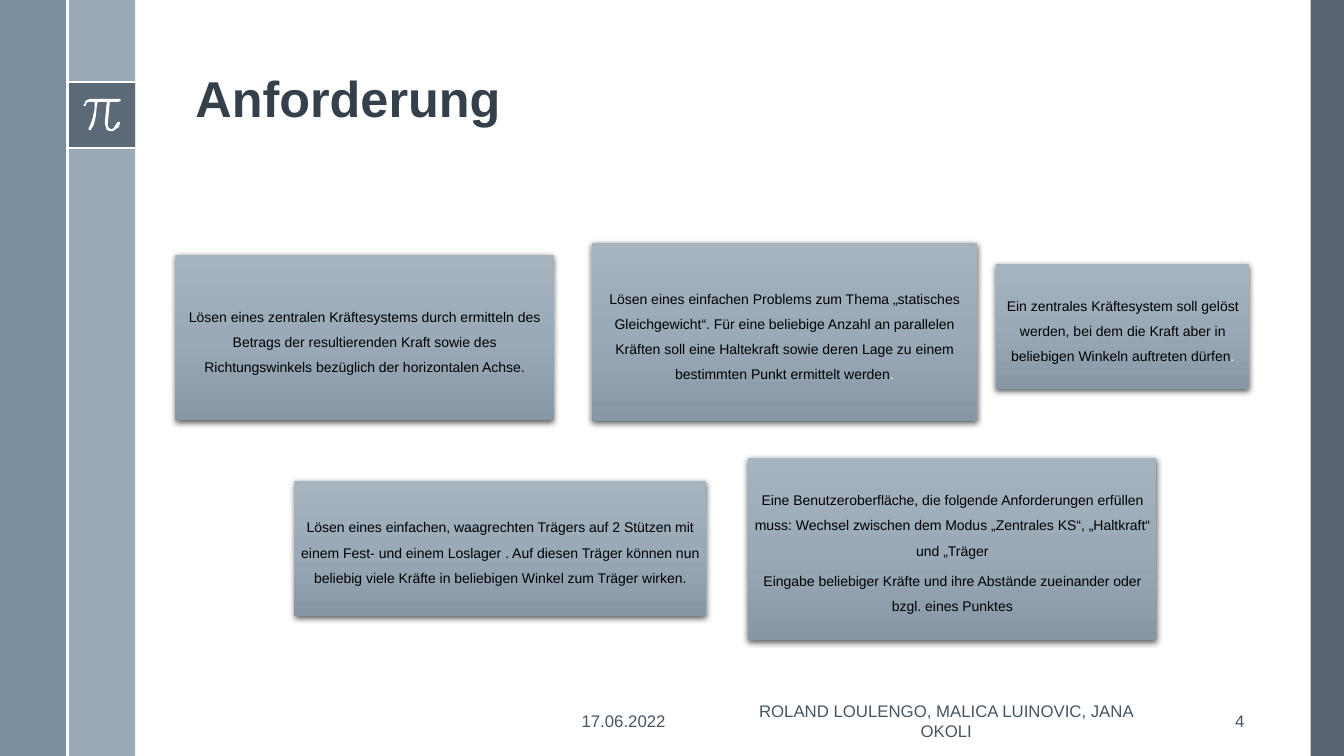
from dataclasses import dataclass

from lxml import etree
from pptx import Presentation
from pptx.dml.color import RGBColor
from pptx.enum.shapes import MSO_CONNECTOR, MSO_SHAPE
from pptx.enum.text import MSO_ANCHOR, PP_ALIGN
from pptx.oxml import parse_xml
from pptx.oxml.ns import nsdecls, qn
from pptx.util import Inches, Pt

RECT = MSO_SHAPE.RECTANGLE
LINE = MSO_CONNECTOR.STRAIGHT
MIDDLE, BOTTOM = MSO_ANCHOR.MIDDLE, MSO_ANCHOR.BOTTOM
LEFT, CENTER, RIGHT = PP_ALIGN.LEFT, PP_ALIGN.CENTER, PP_ALIGN.RIGHT


@dataclass(frozen=True)
class Theme:
    font: str = "Arial"
    white: str = "FFFFFF"
    black: str = "000000"
    slate: str = "475562"
    steel: str = "6A8093"
    mist: str = "9BAAB7"
    title: str = "35404A"
    foot: str = "465562"
    fade: tuple = ((0, "A6B4BF"), (50, "9AAAB8"), (100, "8797A6"))
    big: int = 36
    small: int = 12
    body: int = 10


def write(frame, *parts, size, color, font, bold=False, align=LEFT,
          anchor=MIDDLE, pad=(0.1, 0.05), lines=None, after=None,
          tail="", tint=None):
    """Fill a frame with one paragraph per part; tail is a tinted last run."""
    frame.word_wrap = True
    frame.vertical_anchor = anchor
    frame.margin_left = frame.margin_right = Inches(pad[0])
    frame.margin_top = frame.margin_bottom = Inches(pad[1])
    for i, part in enumerate(parts):
        para = frame.add_paragraph() if i else frame.paragraphs[0]
        para.alignment = align
        if lines:
            para.line_spacing = lines
        if after:
            para.space_after = Pt(after)
        runs = [(part, color)]
        if tail and i == len(parts) - 1:
            runs.append((tail, tint))
        for words, hue in runs:
            run = para.add_run()
            run.text = words
            run.font.name = font
            run.font.size = Pt(size)
            run.font.bold = bold
            run.font.color.rgb = RGBColor.from_string(hue)


class Deck:
    def __init__(self, slide, theme):
        self.slide, self.theme = slide, theme
        self.shapes = slide.shapes

    def paint(self, shape, color, alpha=100):
        shape.shadow.inherit = False
        shape.line.fill.background()
        shape.fill.solid()
        shape.fill.fore_color.rgb = RGBColor.from_string(color)
        if alpha < 100:
            hue = shape.fill._xPr.find(".//" + qn("a:srgbClr"))
            etree.SubElement(hue, qn("a:alpha")).set("val", str(alpha * 1000))

    def bar(self, x, y, w, h, color, alpha=100):
        shape = self.shapes.add_shape(RECT, *map(Inches, (x, y, w, h)))
        self.paint(shape, color, alpha)

    def rule(self, x1, y1, x2, y2):
        line = self.shapes.add_connector(LINE, *map(Inches, (x1, y1, x2, y2)))
        line.line.color.rgb = RGBColor.from_string(self.theme.white)
        line.line.width = Pt(1.5)
        etree.SubElement(line._element.spPr, qn("a:effectLst"))

    def outline(self, points, color):
        """Closed outline, points in hundredths of an inch."""
        form = self.shapes.build_freeform(*points[0], scale=Inches(0.01))
        form.add_line_segments(points[1:], close=True)
        self.paint(form.convert_to_shape(), color)

    def label(self, x, y, w, h, text, **style):
        box = self.shapes.add_textbox(*map(Inches, (x, y, w, h)))
        write(box.text_frame, text, font=self.theme.font, **style)

    def card(self, x, y, w, h, *parts, tail=""):
        theme = self.theme
        shape = self.shapes.add_shape(RECT, *map(Inches, (x, y, w, h)))
        shape.line.fill.background()
        # Three-stop fade from top to bottom
        shape.fill.gradient()
        shape.fill.gradient_angle = 270
        props = shape._element.spPr
        stops = props.find(".//" + qn("a:gsLst"))
        for stop in list(stops):
            stops.remove(stop)
        for spot, hue in theme.fade:
            stops.append(parse_xml(
                f'<a:gs {nsdecls("a")} pos="{spot * 1000}">'
                f'<a:srgbClr val="{hue}"/></a:gs>'))
        # Soft shadow below
        shape.shadow.inherit = False
        props.find(qn("a:effectLst")).append(parse_xml(
            f'<a:outerShdw {nsdecls("a")} blurRad="{Pt(4.5)}" '
            f'dist="{Pt(1.5)}" dir="5400000" algn="ctr" rotWithShape="0">'
            f'<a:srgbClr val="{theme.black}"><a:alpha val="63000"/>'
            '</a:srgbClr></a:outerShdw>'))
        write(shape.text_frame, *parts, font=theme.font, size=theme.body,
              color=theme.black, align=CENTER, pad=(0.04, 0.04), lines=1.5,
              after=3.5, tail=tail, tint=theme.white)


PI_SIGN = [
    (118, 98), (90, 98), (87, 98.7), (85, 100.5), (83.5, 103), (83, 104),
    (83.2, 105), (84, 105.3), (85, 105), (86.5, 102.5), (88, 101.3),
    (90, 101), (94, 101), (93.5, 108), (92, 117), (90.5, 123), (88, 127),
    (87.6, 128), (88, 129), (89, 129.4), (90, 129), (93, 124), (95, 116),
    (96.5, 106), (97, 101), (106, 101), (104.5, 122), (104.7, 126),
    (106.5, 129), (109, 130), (112, 130), (115, 128.5), (117.5, 125.5),
    (119, 122), (118.8, 121.3), (118, 121), (117, 121), (116, 121.7),
    (114.5, 125), (113, 127), (111, 128), (109.5, 128), (108, 127),
    (107, 125), (107, 122), (109, 101), (118, 101), (119, 100.5),
    (119.5, 99.5), (119, 98.5),
]

CARDS = [
    ((1.74, 2.53, 3.75, 1.64),
     ["Lösen eines zentralen Kräftesystems durch ermitteln des Betrags der "
      "resultierenden Kraft sowie des Richtungswinkels bezüglich der "
      "horizontalen Achse."], ""),
    ((5.87, 2.41, 3.82, 1.77),
     ["Lösen eines einfachen Problems zum Thema „statisches Gleichgewicht“. "
      "Für eine beliebige Anzahl an parallelen Kräften soll eine Haltekraft "
      "sowie deren Lage zu einem bestimmten Punkt ermittelt werden"], "."),
    ((9.88, 2.62, 2.51, 1.24),
     ["Ein zentrales Kräftesystem soll gelöst werden, bei dem die Kraft aber "
      "in beliebigen Winkeln auftreten dürfen"], "."),
    ((2.92, 4.77, 4.08, 1.34),
     ["Lösen eines einfachen, waagrechten Trägers auf 2 Stützen mit einem "
      "Fest- und einem Loslager . Auf diesen Träger können nun beliebig "
      "viele Kräfte in beliebigen Winkel zum Träger wirken."], ""),
    ((7.42, 4.54, 4.05, 1.81),
     ["Eine Benutzeroberfläche, die folgende Anforderungen erfüllen muss: "
      "Wechsel zwischen dem Modus „Zentrales KS“, „Haltkraft“ und „Träger",
      "Eingabe beliebiger Kräfte und ihre Abstände zueinander oder bzgl. "
      "eines Punktes"], ""),
]

FOOT = [
    (5.67, 1.33, "17.06.2022", LEFT),
    (7.21, 4.35, "ROLAND LOULENGO, MALICA LUINOVIC, JANA OKOLI", CENTER),
    (11.77, 0.67, "4", RIGHT),
]


def main():
    show = Presentation()
    show.slide_width, show.slide_height = Inches(13.33), Inches(7.5)
    theme = Theme()
    deck = Deck(show.slides.add_slide(show.slide_layouts[6]), theme)

    # Side bars and pi badge
    deck.bar(13, 0, 0.33, 7.5, theme.slate, 90)
    deck.bar(0.67, 0, 0.67, 7.5, theme.mist)
    deck.bar(0, 0, 0.67, 7.5, theme.steel, 88)
    deck.bar(0.67, 0.81, 0.67, 0.67, theme.slate, 75)
    for y in (0.81, 1.47):
        deck.rule(0.67, y, 1.34, y)
    deck.outline(PI_SIGN, theme.white)
    deck.rule(0.67, 0, 0.67, 7.5)

    # Title
    deck.label(1.84, 0.68, 3.27, 0.64, "Anforderung", size=theme.big,
               color=theme.title, bold=True, anchor=BOTTOM, lines=0.9)

    # Task cards
    for place, parts, tail in CARDS:
        deck.card(*place, *parts, tail=tail)

    # Footer
    for x, width, text, align in FOOT:
        deck.label(x, 6.95, width, 0.4, text, size=theme.small,
                   color=theme.foot, align=align)

    show.save("out.pptx")


if __name__ == "__main__":
    main()
